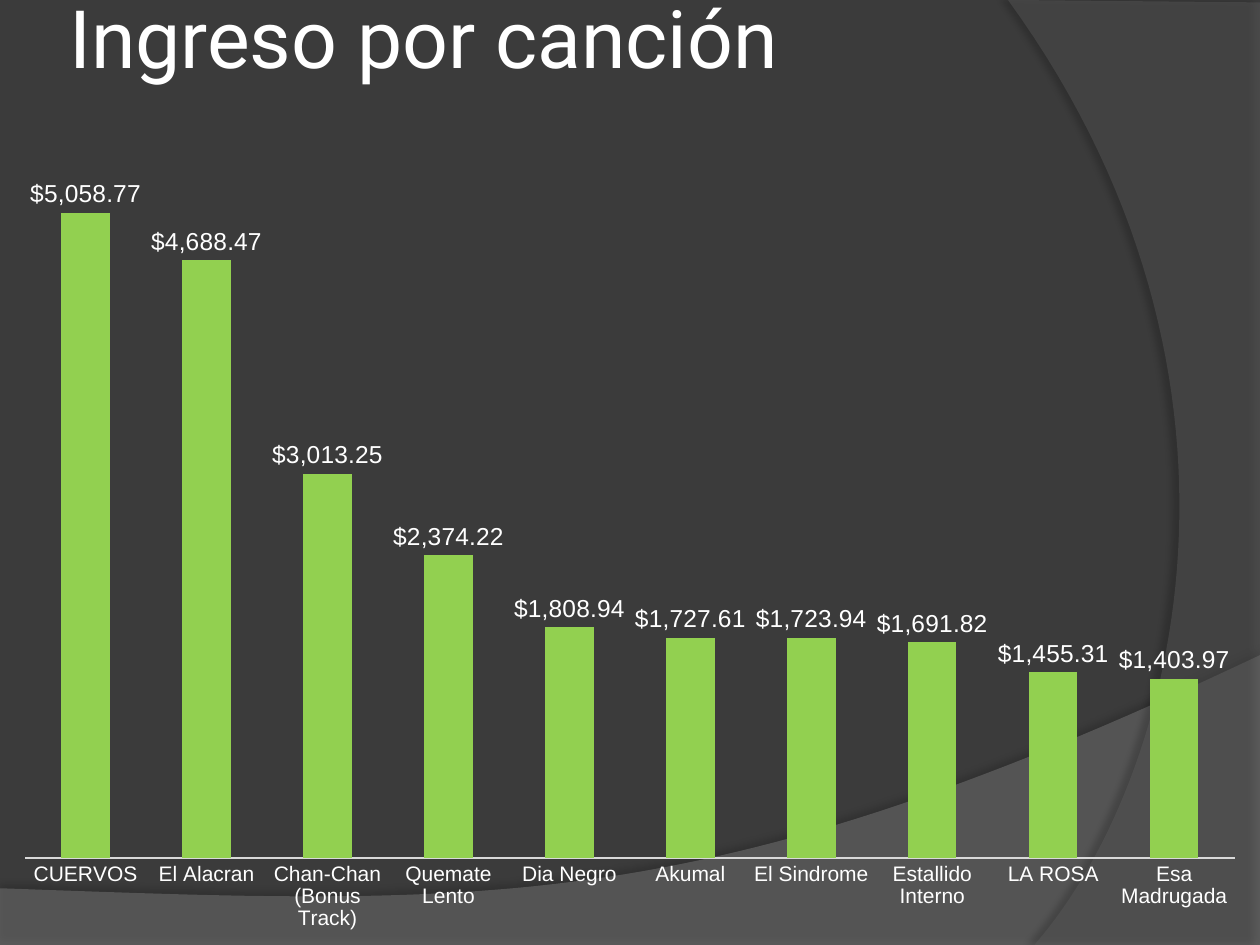
from dataclasses import dataclass
from lxml.etree import SubElement as Sub
from pptx import Presentation as Deck
from pptx.chart.data import CategoryChartData as Data
from pptx.dml.color import RGBColor as Color
from pptx.enum.chart import XL_CHART_TYPE as Kind, XL_LABEL_POSITION as Spot, XL_TICK_MARK as Tick
from pptx.enum.text import MSO_ANCHOR as Anchor
from pptx.oxml import parse_xml
from pptx.oxml.ns import nsdecls, qn
from pptx.util import Pt


@dataclass(frozen=True)
class Theme:
    back: str = "3B3B3B"
    wave: str = "7F7F7F"
    arc: str = "5E5E5E"
    shade: str = "000000"
    text: str = "FFFFFF"
    axis: str = "D9D9D9"
    bar: str = "92D050"
    head: str = "Roboto"
    body: str = "Arial"
    title: int = 46
    label: int = 14
    tick: int = 12
    base: int = 10


def rgb(code):
    return Color.from_string(code)


def curve(a, b, c, d, steps=60):
    def point(t):
        u = 1 - t
        return tuple(u**3 * p + 3 * u * u * t * q + 3 * u * t * t * r + t**3 * s
                     for p, q, r, s in zip(a, b, c, d))
    return [point(i / steps) for i in range(steps + 1)]


class Page:
    def __init__(self, deck, theme):
        self.theme = theme
        self.slide = deck.slides.add_slide(deck.slide_layouts[6])
        fill = self.slide.background.fill
        fill.solid()
        fill.fore_color.rgb = rgb(theme.back)

    def font(self, font, size, face):
        font.size, font.name = Pt(size), face
        font.color.rgb = rgb(self.theme.text)

    def sweep(self, points, code, alpha, shade, gap, angle):
        spots = [(Pt(x), Pt(y)) for x, y in points]
        pen = self.slide.shapes.build_freeform(*spots[0])
        pen.add_line_segments(spots[1:], close=True)
        shape = pen.convert_to_shape()
        shape.shadow.inherit = False
        shape.line.fill.background()
        shape.fill.solid()
        shape.fill.fore_color.rgb = rgb(code)
        props = shape.fill._xPr
        tint = props.find(qn("a:solidFill"))[0]
        Sub(tint, qn("a:alpha"), val=str(alpha * 1000))
        cast = Sub(props.find(qn("a:effectLst")), qn("a:outerShdw"),
                   blurRad=str(Pt(4)), dist=str(Pt(gap)),
                   dir=str(angle * 60000), algn="ctr", rotWithShape="0")
        tone = Sub(cast, qn("a:srgbClr"), val=self.theme.shade)
        Sub(tone, qn("a:alpha"), val=str(shade * 1000))

    def title(self, words, x, y, w, h):
        frame = self.slide.shapes.add_textbox(Pt(x), Pt(y), Pt(w), Pt(h)).text_frame
        frame.word_wrap = True
        frame.vertical_anchor = Anchor.MIDDLE
        frame.margin_left = frame.margin_right = Pt(3.6)
        frame.margin_top = frame.margin_bottom = Pt(3.6)
        run = frame.paragraphs[0].add_run()
        run.text = words
        self.font(run.font, self.theme.title, self.theme.head)

    def chart(self, rows, form, top, x, y, w, h, inner):
        look = self.theme
        data = Data(number_format=form)
        data.categories = [name for name, _ in rows]
        data.add_series("Series 1", [value for _, value in rows])
        chart = self.slide.shapes.add_chart(
            Kind.COLUMN_CLUSTERED, Pt(x), Pt(y), Pt(w), Pt(h), data).chart
        chart.has_legend = chart.has_title = False
        self.font(chart.font, look.base, look.body)

        axis = chart.category_axis
        axis.major_tick_mark = axis.minor_tick_mark = Tick.NONE
        axis.format.line.color.rgb = rgb(look.axis)
        axis.format.line.width = Pt(0.75)
        self.font(axis.tick_labels.font, look.tick, look.body)
        scale = chart.value_axis
        scale.minimum_scale, scale.maximum_scale = 0, top
        scale.has_major_gridlines = False
        scale.tick_labels.number_format = form
        scale.tick_labels.number_format_is_linked = False
        scale.visible = False

        plot = chart.plots[0]
        plot.gap_width, plot.overlap, plot.vary_by_categories = 150, -25, False
        bars = plot.series[0]
        bars.format.fill.solid()
        bars.format.fill.fore_color.rgb = rgb(look.bar)
        tags = bars.data_labels
        tags.show_value = True
        tags.number_format, tags.number_format_is_linked = form, False
        tags.position = Spot.OUTSIDE_END
        self.font(tags.font, look.label, look.body)
        self.place(chart, inner)

    def place(self, chart, inner):
        area = chart._chartSpace.find(".//" + qn("c:plotArea"))
        for old in area.findall(qn("c:layout")):
            area.remove(old)
        box = parse_xml(f"<c:layout {nsdecls('c')}/>")
        area.insert(0, box)
        hand = Sub(box, qn("c:manualLayout"))
        Sub(hand, qn("c:layoutTarget"), val="inner")
        for key in "xy":
            Sub(hand, qn(f"c:{key}Mode"), val="edge")
        for key, part in zip("xywh", inner):
            Sub(hand, qn(f"c:{key}"), val=str(part))


def main():
    deck = Deck()
    wide, high = 720, 540
    deck.slide_width, deck.slide_height = Pt(wide), Pt(high)
    theme = Theme()
    page = Page(deck, theme)

    wave = curve((wide, 374.4), (402.5, 524.9), (281.5, 517.7), (0, 507.6))
    page.sweep([(0, high), (wide, high)] + wave, theme.wave, 45, 35, 3.5, 270)
    arc = curve((591.1, high), (673.2, 445.7), (733, 216), (576, 0))
    page.sweep([(wide, 1.4), (wide, high)] + arc, theme.arc, 40, 45, 4, 180)

    page.title("Ingreso por canción", 36, -24.5, 648, 90)
    songs = [
        ("CUERVOS", 5058.77),
        ("El Alacran", 4688.47),
        ("Chan-Chan (Bonus Track)", 3013.25),
        ("Quemate Lento", 2374.22),
        ("Dia Negro", 1808.94),
        ("Akumal", 1727.61),
        ("El Sindrome", 1723.94),
        ("Estallido Interno", 1691.82),
        ("LA ROSA", 1455.31),
        ("Esa Madrugada", 1403.97),
    ]
    page.chart(songs, '"$"#,##0.00', 6000, 0, 43.2, wide, 496.8,
               (0.02, 0.02, 0.96, 0.88))
    deck.save("out.pptx")


if __name__ == "__main__":
    main()
